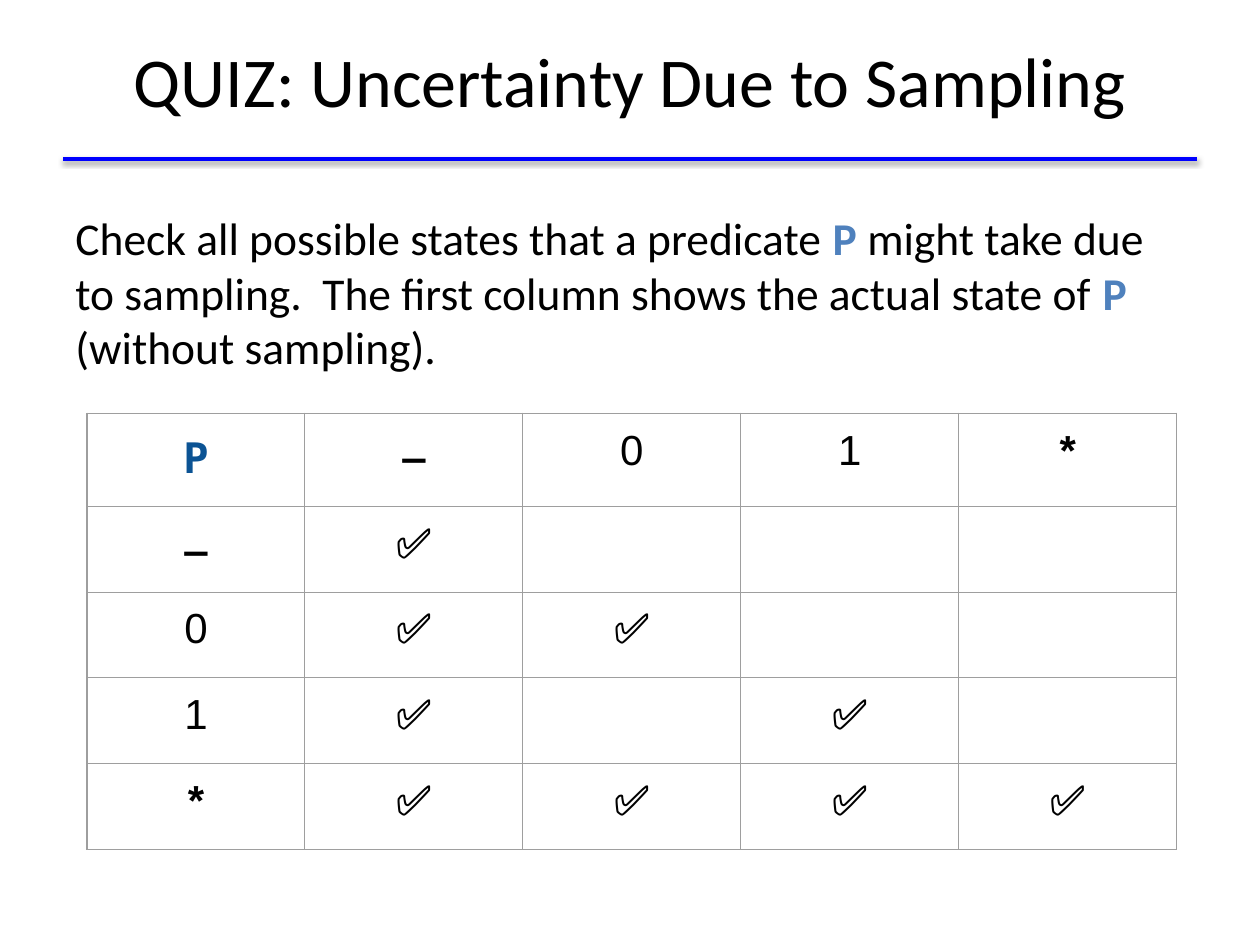
import dataclasses

import lxml.etree
import pptx
import pptx.dml.color
import pptx.enum.text
import pptx.oxml
import pptx.oxml.ns
import pptx.util

Inches = pptx.util.Inches
Pt = pptx.util.Pt
CENTER = pptx.enum.text.PP_ALIGN.CENTER
MIDDLE = pptx.enum.text.MSO_ANCHOR.MIDDLE
SHADOW = (
    f'<a:effectLst {pptx.oxml.ns.nsdecls("a")}>'
    '<a:outerShdw blurRad="39370" dist="20320" dir="5400000" rotWithShape="0">'
    '<a:srgbClr val="000000"><a:alpha val="38000"/></a:srgbClr>'
    '</a:outerShdw></a:effectLst>'
)
DASH, CHECK = "‒", "✅"
STATES = [DASH, "0", "1", "*"]
POSSIBLE = {DASH: DASH, "0": DASH + "0", "1": DASH + "1", "*": STATES}


@dataclasses.dataclass(frozen=True)
class Theme:
    ink: str = "000000"
    rule: str = "0000FF"
    predicate: str = "4F81BD"
    corner: str = "0B5394"
    grid: str = "9E9E9E"
    text_font: str = "Calibri"
    table_font: str = "Arial"
    corner_font: str = "DejaVu Sans Mono"
    title_size: int = 40
    body_size: int = 26
    table_size: int = 24


class SlideBuilder:
    """Adds themed elements to one slide."""

    def __init__(self, slide, theme):
        self.slide = slide
        self.theme = theme

    def set_font(self, font, name, size, color):
        font.name = name
        font.size = Pt(size)
        font.color.rgb = pptx.dml.color.RGBColor.from_string(color)

    def rule(self, left, right, top):
        line = self.slide.shapes.add_connector(
            pptx.enum.shapes.MSO_CONNECTOR.STRAIGHT,
            Inches(left), Inches(top), Inches(right), Inches(top))
        line.line.color.rgb = pptx.dml.color.RGBColor.from_string(self.theme.rule)
        line.line.width = Pt(2)
        line._element.spPr.append(pptx.oxml.parse_xml(SHADOW))

    def text_box(self, left, top, width, height):
        box = self.slide.shapes.add_textbox(
            Inches(left), Inches(top), Inches(width), Inches(height))
        box.text_frame.word_wrap = True
        return box.text_frame

    def title(self, text):
        frame = self.text_box(0.5, 0.01, 9, 1.25)
        frame.vertical_anchor = MIDDLE
        para = frame.paragraphs[0]
        para.text = text
        para.alignment = CENTER
        self.set_font(para.font, self.theme.text_font, self.theme.title_size, self.theme.ink)

    def instructions(self, lines):
        para = self.text_box(0.5, 1.62, 9.13, 4.95).paragraphs[0]
        self.set_font(para.font, self.theme.text_font, self.theme.body_size, self.theme.ink)
        for index, spans in enumerate(lines):
            if index:
                para.add_line_break()
            for text in spans:
                span = para.add_run()
                span.text = text
                if text == "P ":
                    span.font.bold = True
                    span.font.color.rgb = pptx.dml.color.RGBColor.from_string(
                        self.theme.predicate)

    def cell_borders(self, cell):
        properties = cell._tc.get_or_add_tcPr()
        for side in ("lnL", "lnR", "lnT", "lnB"):
            properties.append(pptx.oxml.parse_xml(
                f'<a:{side} {pptx.oxml.ns.nsdecls("a")} w="9525"><a:solidFill>'
                f'<a:srgbClr val="{self.theme.grid}"/></a:solidFill></a:{side}>'))

    def cell(self, cell, text):
        cell.margin_left = cell.margin_right = Inches(0.11)
        cell.margin_top = cell.margin_bottom = Inches(0.11)
        self.cell_borders(cell)
        cell.fill.background()
        if not text:
            return
        para = cell.text_frame.paragraphs[0]
        para.text = text
        para.alignment = CENTER
        corner = text == "P"
        name = self.theme.corner_font if corner else self.theme.table_font
        color = self.theme.corner if corner else self.theme.ink
        self.set_font(para.font, name, self.theme.table_size, color)
        para.font.bold = text in ("P", DASH, "*")
        if text in ("P", DASH):
            para.line_spacing = 1.15
            para.space_before = Pt(5.9)

    def table(self, rows, left, top, column_width, row_heights):
        columns = len(rows[0])
        table = self.slide.shapes.add_table(
            len(rows), columns, Inches(left), Inches(top),
            Inches(column_width * columns), Inches(sum(row_heights))).table
        table.first_row = table.horz_banding = False
        for column in table.columns:
            column.width = Inches(column_width)
        for row, height, texts in zip(table.rows, row_heights, rows):
            row.height = Inches(height)
            for cell, text in zip(row.cells, texts):
                self.cell(cell, text)


def main():
    deck = pptx.Presentation()
    deck.slide_width, deck.slide_height = Inches(10), Inches(7.5)
    page = SlideBuilder(deck.slides.add_slide(deck.slide_layouts[6]), Theme())
    page.rule(0.5, 9.5, 1.26)
    page.title("QUIZ: Uncertainty Due to Sampling")
    rows = [["P", *STATES]]
    for actual in STATES:
        rows.append([actual] + [CHECK if state in POSSIBLE[actual] else "" for state in STATES])
    page.table(rows, 0.69, 3.28, 1.73, [0.74, 0.65, 0.68, 0.68, 0.68])
    page.instructions([
        ["Check all possible states that a predicate ", "P ", "might take due"],
        ["to sampling.  The first column shows the actual state of ", "P ",
         "(without sampling)."],
    ])
    deck.save("out.pptx")


if __name__ == "__main__":
    main()
